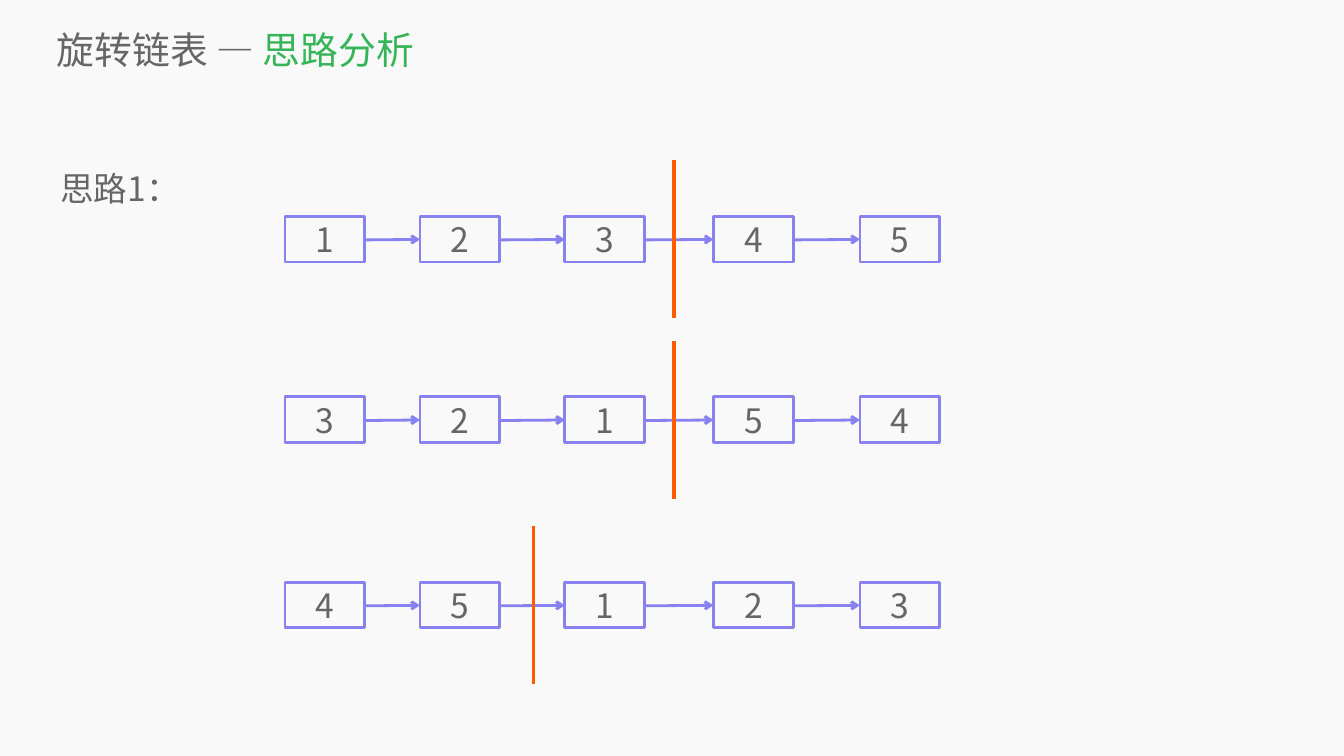
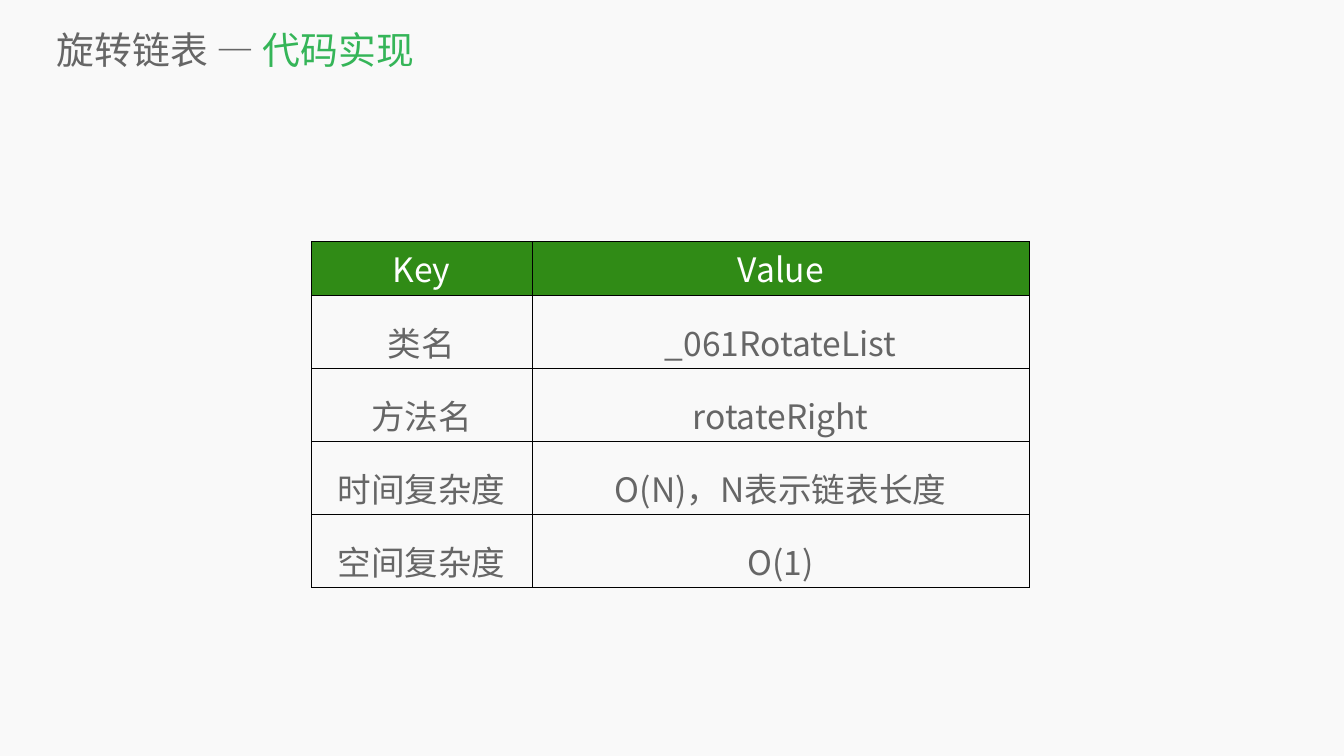
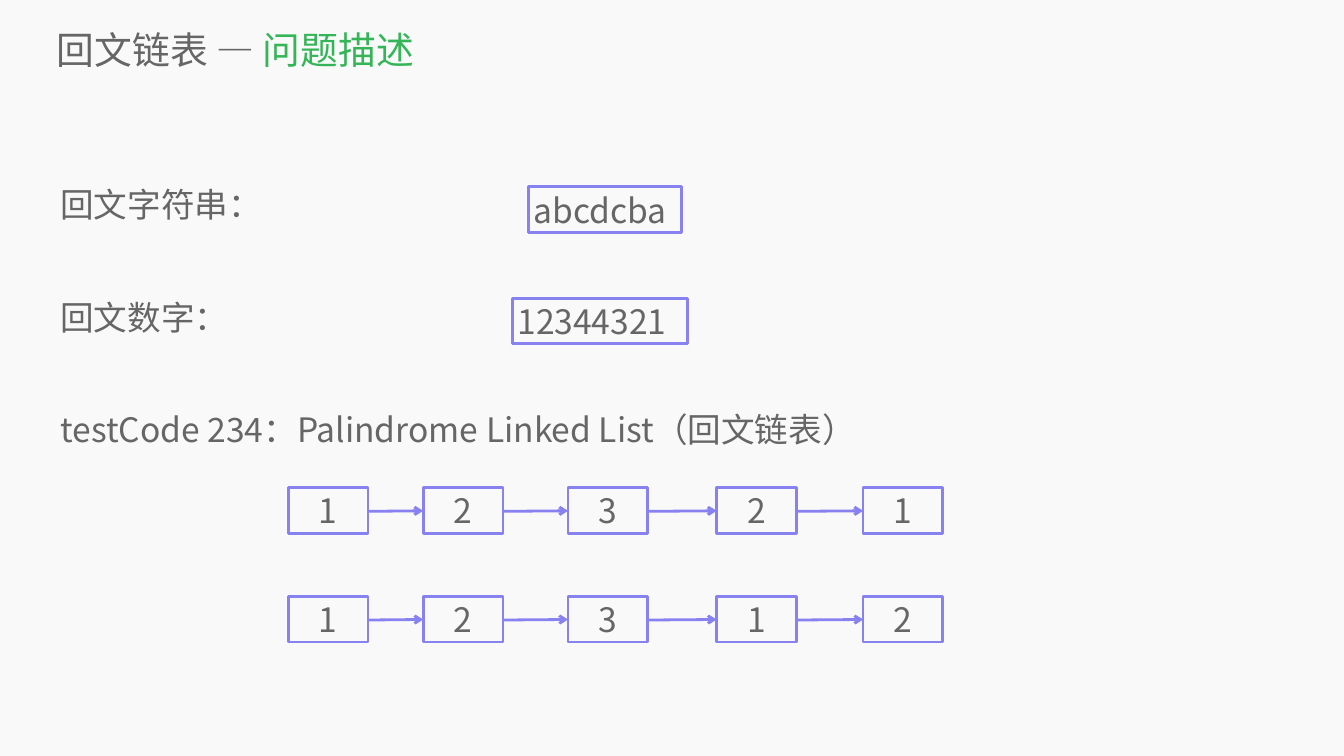
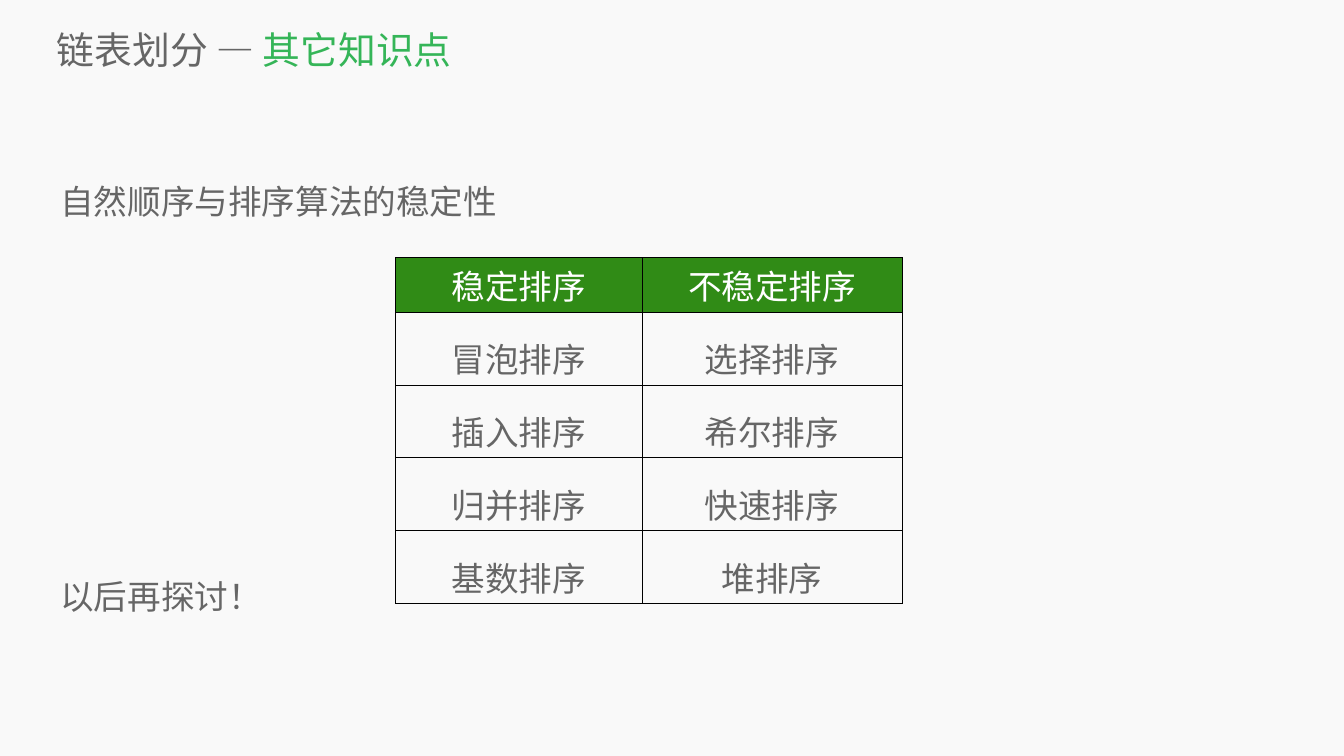
import dataclasses

import lxml.etree
import pptx
import pptx.dml.color
import pptx.enum.shapes
import pptx.enum.text
import pptx.oxml.ns
import pptx.util

PX = 9525  # EMU in one px
ALIGN = pptx.enum.text.PP_ALIGN
ANCHOR = pptx.enum.text.MSO_ANCHOR


@dataclasses.dataclass(frozen=True)
class Theme:
    font: str = "Noto Sans CJK SC"
    back: str = "F9F9F9"
    ink: str = "666666"
    accent: str = "35B558"
    node: str = "8881F0"
    cut: str = "FF5C00"
    head: str = "308B16"
    white: str = "FFFFFF"
    grid: str = "000000"
    title: int = 54
    body: int = 48
    lead: float = 1.4
    node_line: int = 4
    cut_line: int = 5


THEME = Theme()

# Linked list: left edge of each node from the start of the list
STEPS = (0, 257, 533, 816, 1095)
NODE_W, NODE_H = 152, 87
CUT_H, CUT_RISE = 301, 107

# Height of one body line, in points
LINE = 80.64


def rgb(code):
    return pptx.dml.color.RGBColor.from_string(code)


def sub(parent, tag, **attrs):
    return lxml.etree.SubElement(parent, pptx.oxml.ns.qn(tag), attrs)


def write(para, text, size=THEME.body, color=THEME.ink, align=None, lead=None, gap=None):
    """Add a run to a paragraph and set the format of both."""
    run = para.add_run()
    run.text = text
    run.font.size = pptx.util.Pt(size)
    run.font.color.rgb = rgb(color)
    run.font.name = THEME.font
    sub(run.font._element, "a:ea", typeface=THEME.font)
    if align is not None:
        para.alignment = align
    if lead is not None:
        para.line_spacing = lead
    if gap is not None:
        para.space_before = pptx.util.Pt(gap)


class Deck:
    def __init__(self, theme):
        self.theme = theme
        self.prs = pptx.Presentation()
        self.prs.slide_width = 2560 * PX
        self.prs.slide_height = 1440 * PX
        self.slide = None

    def page(self, topic, part):
        """Start a slide with its two-colour title."""
        self.slide = self.prs.slides.add_slide(self.prs.slide_layouts[6])
        fill = self.slide.background.fill
        fill.solid()
        fill.fore_color.rgb = rgb(self.theme.back)
        frame = self.frame(108, 45, 2415, 98)
        frame.vertical_anchor = ANCHOR.MIDDLE
        para = frame.paragraphs[0]
        write(para, f"{topic} — ", size=self.theme.title)
        write(para, part, size=self.theme.title, color=self.theme.accent)

    def frame(self, x, y, w, h):
        """Add a text box without insets."""
        box = self.slide.shapes.add_textbox(x * PX, y * PX, w * PX, h * PX)
        frame = box.text_frame
        frame.word_wrap = True
        frame.margin_left = frame.margin_right = 0
        frame.margin_top = frame.margin_bottom = 0
        return frame

    def body(self, y, *items, skip=0):
        """Add body text, with room for skip lines between the items."""
        frame = self.frame(115, y, 2331, 1079)
        for i, text in enumerate(items):
            para = frame.add_paragraph() if i else frame.paragraphs[0]
            write(para, text, lead=self.theme.lead, gap=skip * LINE if i else None)

    def node(self, x, y, text, w=NODE_W, align=ALIGN.CENTER, host=None):
        """Add an outlined box with a value in it."""
        shapes = (host or self.slide).shapes
        box = shapes.add_shape(pptx.enum.shapes.MSO_SHAPE.RECTANGLE,
                               x * PX, y * PX, w * PX, NODE_H * PX)
        box.shadow.inherit = False
        box.fill.background()
        box.line.color.rgb = rgb(self.theme.node)
        box.line.width = pptx.util.Pt(self.theme.node_line)
        frame = box.text_frame
        frame.word_wrap = True
        frame.vertical_anchor = ANCHOR.MIDDLE
        frame.margin_top = frame.margin_bottom = 0
        write(frame.paragraphs[0], text, align=align)

    def line(self, start, end, color, width, host, arrow=False):
        """Add a straight line, with an arrowhead at its end if asked."""
        link = host.shapes.add_connector(pptx.enum.shapes.MSO_CONNECTOR.STRAIGHT,
                                         *(v * PX for v in start + end))
        link.line.color.rgb = rgb(color)
        link.line.width = pptx.util.Pt(width)
        if arrow:
            sub(link.line._get_or_add_ln(), "a:tailEnd", type="arrow")
        sub(link._element.spPr, "a:effectLst")

    def chain(self, x, y, values, cut=None):
        """Add a linked list as a group; cut is the x of the split line."""
        group = self.slide.shapes.add_group_shape()
        mid = y + 45
        for i, (step, value) in enumerate(zip(STEPS, values)):
            if i:
                self.line((x + STEPS[i - 1] + NODE_W, mid), (x + step, mid - 1),
                          self.theme.node, self.theme.node_line, group, arrow=True)
            self.node(x + step, y, value, host=group)
        if cut:
            top = y - CUT_RISE
            self.line((cut, top), (cut, top + CUT_H),
                      self.theme.cut, self.theme.cut_line, group)

    def table(self, x, y, widths, rows):
        """Add a bordered table whose first row is the header."""
        heights = [103] + [139] * (len(rows) - 1)
        table = self.slide.shapes.add_table(
            len(rows), len(widths), x * PX, y * PX,
            sum(widths) * PX, sum(heights) * PX).table
        table.first_row = table.horz_banding = False
        for col, width in zip(table.columns, widths):
            col.width = width * PX
        for r, (row, height) in enumerate(zip(rows, heights)):
            table.rows[r].height = height * PX
            for c, text in enumerate(row):
                self.cell(table.cell(r, c), text, head=r == 0)

    def cell(self, cell, text, head):
        props = cell._tc.get_or_add_tcPr()
        for side in ("a:lnL", "a:lnR", "a:lnT", "a:lnB"):
            edge = sub(props, side, w=str(pptx.util.Pt(1)))
            sub(sub(edge, "a:solidFill"), "a:srgbClr", val=self.theme.grid)
        if head:
            cell.fill.solid()
            cell.fill.fore_color.rgb = rgb(self.theme.head)
        else:
            cell.fill.background()
        write(cell.text_frame.paragraphs[0], text, align=ALIGN.CENTER,
              color=self.theme.white if head else self.theme.ink,
              lead=None if head else self.theme.lead)


def main():
    deck = Deck(THEME)

    # Rotate list: idea
    deck.page("旋转链表", "思路分析")
    deck.body(289, "思路1：")
    for y, values, cut in ((412, "12345", 1284), (756, "32154", 1284), (1109, "45123", 1016)):
        deck.chain(543, y, values, cut)

    # Rotate list: code
    deck.page("旋转链表", "代码实现")
    deck.table(593, 460, (420, 948), (
        ("Key", "Value"),
        ("类名", "_061RotateList"),
        ("方法名", "rotateRight"),
        ("时间复杂度", "O(N)，N表示链表长度"),
        ("空间复杂度", "O(1)"),
    ))

    # Palindrome list: problem
    deck.page("回文链表", "问题描述")
    deck.body(319, "回文字符串：", "回文数字：",
              "testCode 234：Palindrome Linked List（回文链表）", skip=1)
    deck.node(1007, 356, "abcdcba", w=291, align=ALIGN.LEFT)
    deck.node(976, 568, "12344321", w=334, align=ALIGN.LEFT)
    for y, values in ((929, "12321"), (1136, "12312")):
        deck.chain(549, y, values)

    # Partition list: other points
    deck.page("链表划分", "其它知识点")
    deck.body(314, "自然顺序与排序算法的稳定性", "以后再探讨！", skip=6)
    deck.table(753, 491, (470, 495), (
        ("稳定排序", "不稳定排序"),
        ("冒泡排序", "选择排序"),
        ("插入排序", "希尔排序"),
        ("归并排序", "快速排序"),
        ("基数排序", "堆排序"),
    ))

    deck.prs.save("out.pptx")


if __name__ == "__main__":
    main()
